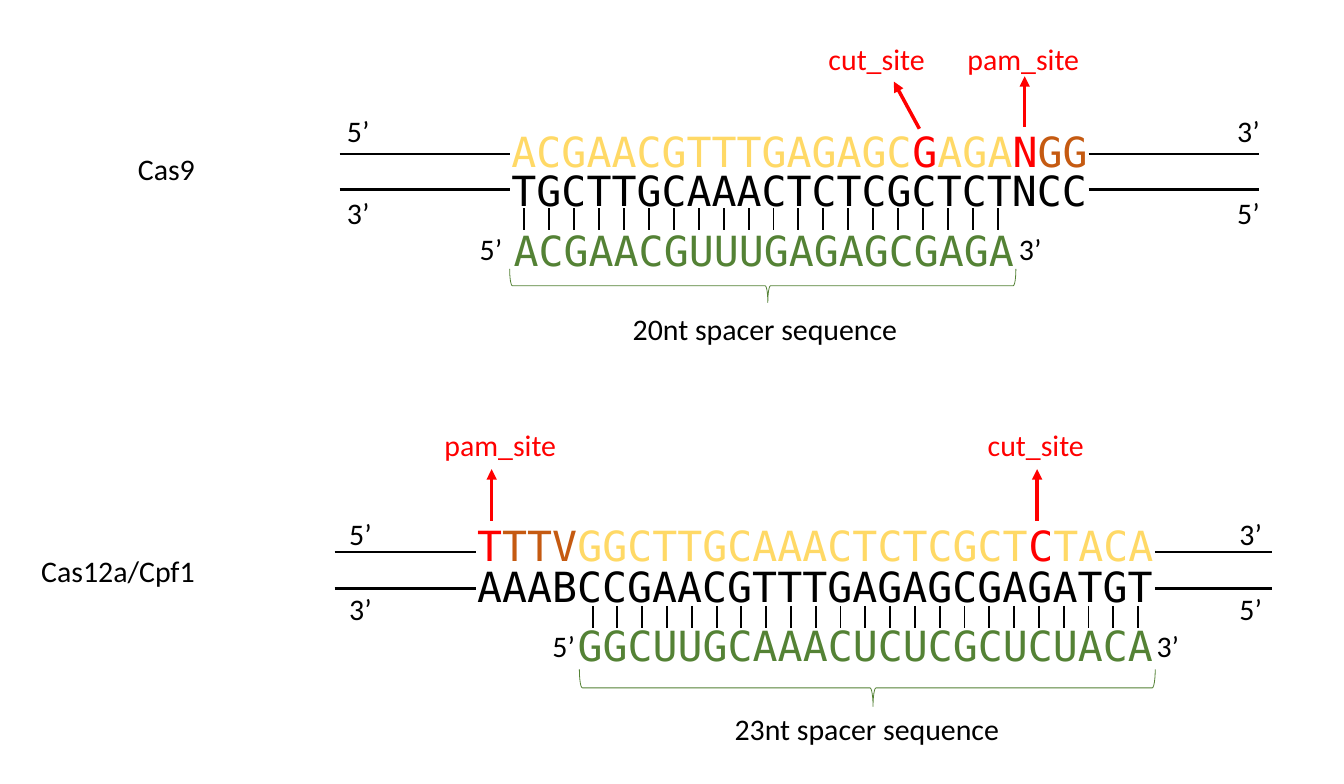
from lxml import etree
from pptx import Presentation
from pptx.dml.color import RGBColor
from pptx.enum.shapes import MSO_CONNECTOR, MSO_SHAPE
from pptx.enum.text import MSO_AUTO_SIZE, PP_ALIGN
from pptx.oxml.ns import qn
from pptx.util import Cm, Pt

STRAIGHT = MSO_CONNECTOR.STRAIGHT
LEFT_BRACE = MSO_SHAPE.LEFT_BRACE
FIT_SHAPE = MSO_AUTO_SIZE.SHAPE_TO_FIT_TEXT
LEFT, RIGHT = PP_ALIGN.LEFT, PP_ALIGN.RIGHT

BLACK = RGBColor(0x00, 0x00, 0x00)
RED = RGBColor(0xFF, 0x00, 0x00)
YELLOW = RGBColor(0xFF, 0xD9, 0x66)
ORANGE = RGBColor(0xC5, 0x5A, 0x11)
GREEN = RGBColor(0x54, 0x82, 0x35)

LABEL = {"name": "Calibri", "size": Pt(19.2)}
SEQUENCE = {"name": "DejaVu Sans Mono", "size": Pt(26.7)}
LABEL_HEIGHT, SEQUENCE_WIDTH, SEQUENCE_HEIGHT = 1.07, 19.84, 1.4
END_WIDTH, PAM_WIDTH, CUT_WIDTH = 3, 4.7, 3

# One entry per enzyme, lengths in centimetres
enzymes = [
    {
        "name": "Cas9", "name_top": 3.3,
        "target": [("ACGAACGTTTGAGAGC", YELLOW), ("G", RED), ("AGA", YELLOW),
                   ("N", RED), ("GG", ORANGE)],
        "complement": "TGCTTGCAAACTCTCGCTCTNCC",
        "guide": "ACGAACGUUUGAGAGCGAGA",
        "target_at": (11.35, 2.74), "complement_at": (11.35, 3.61), "guide_at": (11.4, 4.98),
        "strand_spans": [(7.7, 11.56), (24.69, 28.55)], "strand_rows": [3.49, 4.29],
        "end_columns": (7.62, 27.81), "end_rows": (2.44, 4.29),
        "guide_ends": (8.64, 22.86), "guide_end_top": 5.11,
        "rungs": (11.89, 22.63, 4.72, 5.21),
        "sites": [("pam_site", 21.69, 0.79, PAM_WIDTH), ("cut_site", 18.54, 0.79, CUT_WIDTH)],
        "arrows": [(23.24, 2.87, 23.24, 1.73), (20.85, 2.92, 20.27, 1.85)],
        "brace": (16.92, 0.74, 0.76, 11.48),
        "spacer": "20nt spacer sequence", "spacer_at": (14.1, 6.93),
    },
    {
        "name": "Cas12a/Cpf1", "name_top": 12.42,
        "target": [("T", RED), ("TTV", ORANGE), ("GGCTTGCAAACTCTCGCT", YELLOW),
                   ("C", RED), ("TACA", YELLOW)],
        "complement": "AAABCCGAACGTTTGAGAGCGAGATGT",
        "guide": "GGCUUGCAAACUCUCGCUCUACA",
        "target_at": (10.57, 11.66), "complement_at": (10.57, 12.6), "guide_at": (12.85, 13.94),
        "strand_spans": [(7.59, 10.8), (26.19, 28.85)], "strand_rows": [12.52, 13.34],
        "end_columns": (7.67, 27.86), "end_rows": (11.58, 13.26),
        "guide_ends": (10.29, 25.98), "guide_end_top": 14.1,
        "rungs": (13.44, 25.81, 13.74, 14.25),
        "sites": [("pam_site", 9.83, 9.55, PAM_WIDTH), ("cut_site", 22.15, 9.55, CUT_WIDTH)],
        "arrows": [(11.15, 11.81, 11.15, 10.64), (23.52, 11.81, 23.52, 10.64)],
        "brace": (19.25, 9.07, 0.84, 13.06),
        "spacer": "23nt spacer sequence", "spacer_at": (16.41, 16),
    },
]

presentation = Presentation()
presentation.slide_width, presentation.slide_height = Cm(30.48), Cm(17.78)
slide = presentation.slides.add_slide(presentation.slide_layouts[6])


def add_text(runs, left, top, width, height=LABEL_HEIGHT, font_format=LABEL, alignment=LEFT):
    box = slide.shapes.add_textbox(Cm(left), Cm(top), Cm(width), Cm(height))
    box.text_frame.word_wrap = True
    box.text_frame.auto_size = FIT_SHAPE
    paragraph = box.text_frame.paragraphs[0]
    paragraph.alignment = alignment
    for text, color in runs:
        run = paragraph.add_run()
        run.text = text
        run.font.color.rgb = color
        for attribute, value in font_format.items():
            setattr(run.font, attribute, value)


def add_line(shapes, ends, color, weight, arrow=False):
    connector = shapes.add_connector(STRAIGHT, *[Cm(value) for value in ends])
    connector.line.color.rgb = color
    connector.line.width = Pt(weight)
    if arrow:
        line_properties = connector.line._get_or_add_ln()
        etree.SubElement(line_properties, qn("a:tailEnd"), type="triangle")
    etree.SubElement(connector._element.spPr, qn("a:effectLst"))


for enzyme in enzymes:
    # Enzyme name
    add_text([(enzyme["name"], BLACK)], 0, enzyme["name_top"], 4.67, alignment=RIGHT)

    # Target strand, complementary strand and guide
    for runs, position in [
        (enzyme["target"], enzyme["target_at"]),
        ([(enzyme["complement"], BLACK)], enzyme["complement_at"]),
        ([(enzyme["guide"], GREEN)], enzyme["guide_at"]),
    ]:
        add_text(runs, *position, SEQUENCE_WIDTH, SEQUENCE_HEIGHT, SEQUENCE)

    # Flanking DNA
    for row in enzyme["strand_rows"]:
        for start, end in enzyme["strand_spans"]:
            add_line(slide.shapes, (start, row, end, row), BLACK, 1.75)

    # Strand ends, antiparallel
    for top, ends in zip(enzyme["end_rows"], [("5’", "3’"), ("3’", "5’")]):
        for left, text in zip(enzyme["end_columns"], ends):
            add_text([(text, BLACK)], left, top, END_WIDTH)
    for left, text, alignment in zip(enzyme["guide_ends"], ("5’", "3’"), (RIGHT, LEFT)):
        add_text([(text, BLACK)], left, enzyme["guide_end_top"], END_WIDTH, alignment=alignment)

    # One base-pair rung per guide letter
    first, last, top, bottom = enzyme["rungs"]
    step = (last - first) / (len(enzyme["guide"]) - 1)
    rungs = slide.shapes.add_group_shape()
    for index in range(len(enzyme["guide"])):
        x = first + index * step
        add_line(rungs.shapes, (x, top, x, bottom), BLACK, 1.25)

    # PAM and cut sites
    for text, left, top, width in enzyme["sites"]:
        add_text([(text, RED)], left, top, width)
    for ends in enzyme["arrows"]:
        add_line(slide.shapes, ends, RED, 2.25, arrow=True)

    # Spacer brace and caption
    brace = slide.shapes.add_shape(LEFT_BRACE, *[Cm(value) for value in enzyme["brace"]])
    brace.rotation = 270
    brace.adjustments[0], brace.adjustments[1] = 0.08, 0.51
    brace.shadow.inherit = False
    brace.fill.background()
    brace.line.color.rgb = GREEN
    brace.line.width = Pt(0.5)
    add_text([(enzyme["spacer"], BLACK)], *enzyme["spacer_at"], 13.11)

presentation.save("out.pptx")
